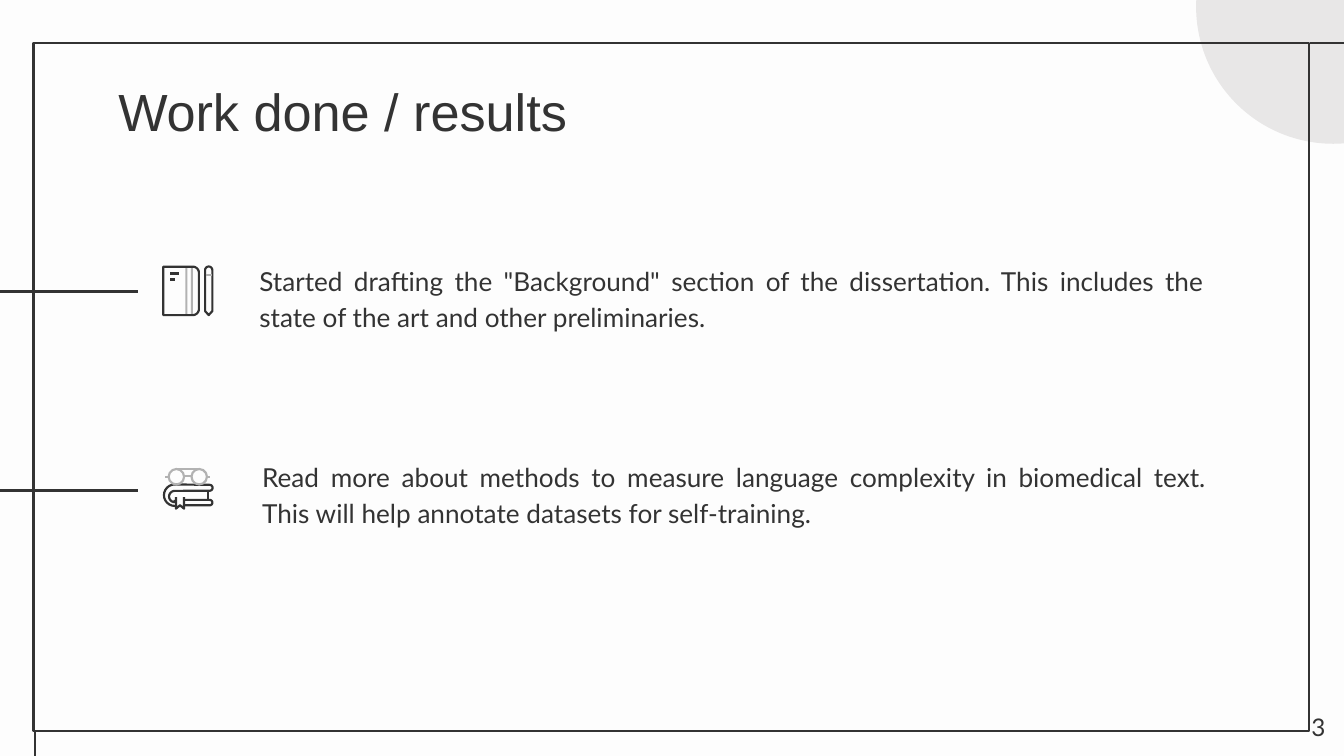
"""Build the "Work done / results" slide on a grid of tenths of an inch."""
import math

from lxml import etree
from pptx import Presentation
from pptx import util as u
from pptx.dml.color import RGBColor
from pptx.enum import shapes, text
from pptx.oxml import ns

COLUMNS, ROWS = 100, 56.25
CELL = u.Inches(0.1)
INK = RGBColor(0x33, 0x33, 0x33)
SOFT = RGBColor(0xB2, 0xB2, 0xB2)
PALE = RGBColor(0xE8, 0xE7, 0xE7)
PAPER = RGBColor(0xFD, 0xFD, 0xFD)
KIND = shapes.MSO_SHAPE
ALIGN = text.PP_ALIGN
ANCHOR = text.MSO_ANCHOR
ICON_LINE = 1.15

TITLE = "Work done / results"
ITEMS = (
    ('Started drafting the "Background" section of the dissertation. '
     "This includes the state of the art and other preliminaries.",
     (18.3, 18.4, 72.3, 9.7)),
    ("Read more about methods to measure language complexity in biomedical text. "
     "This will help annotate datasets for self-training.",
     (18.5, 33, 72.3, 6.8)),
)
RULES = (
    (COLUMNS, 3.2, 97.5, 3.2),
    (2.6, 54.5, 2.6, ROWS),
    (0, 21.7, 10.3, 21.7),
    (0, 36.5, 10.3, 36.5),
)


def grid(*cells):
    """Turn grid cells into whole lengths."""
    return [u.Emu(round(cell * CELL)) for cell in cells]


def paint(shape, fill=None, line=None, width=1.5):
    """Set fill and outline, and drop the shadow."""
    shape.shadow.inherit = False
    if fill is None:
        shape.fill.background()
    else:
        shape.fill.solid()
        shape.fill.fore_color.rgb = fill
    if line is None:
        shape.line.fill.background()
    else:
        shape.line.color.rgb = line
        shape.line.width = u.Pt(width)


def add_preset(page, kind, cells, **style):
    """Add a preset shape over the given cells."""
    shape = page.shapes.add_shape(kind, *grid(*cells))
    paint(shape, **style)
    return shape


def add_outline(page, points, closed=False, **style):
    """Add a freeform through the given points."""
    places = [grid(*point) for point in points]
    builder = page.shapes.build_freeform(*places[0])
    builder.add_line_segments(places[1:], close=closed)
    paint(builder.convert_to_shape(), **style)


def add_rule(page, ends, color=INK, width=1.5):
    """Add a straight line without a shadow."""
    rule = page.shapes.add_connector(shapes.MSO_CONNECTOR.STRAIGHT, *grid(*ends))
    rule.line.color.rgb = color
    rule.line.width = u.Pt(width)
    etree.SubElement(rule.element.spPr, ns.qn("a:effectLst"))


def write(box, words, cells, size=14, font="Lato", align=ALIGN.LEFT,
          spacing=1.0, anchor=ANCHOR.TOP):
    """Place a box and fill it with one unbulleted paragraph."""
    box.left, box.top, box.width, box.height = grid(*cells)
    frame = box.text_frame
    frame.word_wrap = True
    frame.auto_size = text.MSO_AUTO_SIZE.NONE
    frame.vertical_anchor = anchor
    frame.margin_left = frame.margin_right = CELL
    frame.margin_top = frame.margin_bottom = CELL
    para = frame.paragraphs[0]
    para.alignment = align
    para.line_spacing = spacing
    para.space_before = u.Pt(0)
    properties = para._p.get_or_add_pPr()
    properties.set("marL", "0")
    properties.set("indent", "0")
    etree.SubElement(properties, ns.qn("a:buNone"))
    span = para.add_run()
    span.text = words
    span.font.name = font
    span.font.size = u.Pt(size)
    span.font.color.rgb = INK


def arc(x, y, radius, start, end, steps=12):
    """List points along an arc given in degrees."""
    angles = [math.radians(start + (end - start) * step / steps)
              for step in range(steps + 1)]
    return [(x + radius * math.cos(angle), y + radius * math.sin(angle))
            for angle in angles]


def draw_notebook(page):
    """Draw a notebook with a pencil beside it."""
    for left in (13.8, 14.2):
        add_preset(page, KIND.RECTANGLE, (left, 19.8, 0.15, 3.7), fill=SOFT)
    cover = [(12.15, 19.85), *arc(14.35, 20.3, 0.45, -90, 0),
             *arc(14.35, 23, 0.45, 0, 90), (12.15, 23.45)]
    add_outline(page, cover, closed=True, line=INK, width=ICON_LINE)
    pencil = [*arc(15.53, 20.1, 0.27, 180, 360), (15.8, 23.15),
              (15.53, 23.45), (15.26, 23.15)]
    add_outline(page, pencil, closed=True, line=INK, width=ICON_LINE)
    add_rule(page, (15.3, 20.45, 15.76, 20.45), SOFT, ICON_LINE)
    for row, right in ((20.35, 13.3), (20.8, 13.05)):
        add_rule(page, (12.65, row, right, row), width=ICON_LINE)


def draw_books(page):
    """Draw a book with a ribbon under a pair of glasses."""
    cover = [(13, 37.6), *arc(13, 36.85, 0.8, 90, 270),
             *arc(15.6, 36.3, 0.22, -90, 90), *arc(13, 36.95, 0.42, 270, 90),
             (13, 37.2)]
    ribbon = [(13.1, 37), (13.1, 37.85), (13.4, 37.6), (13.7, 37.85), (13.7, 37)]
    lower_edge = [(13.75, 37.2), *arc(15.6, 37.4, 0.2, -90, 90), (13.75, 37.6)]
    page_edge = [(15.5, 36.55), (15.5, 37.2)]
    for points in (cover, ribbon, lower_edge, page_edge):
        add_outline(page, points, line=INK, width=ICON_LINE)
    for left in (12.55, 14.25):
        add_preset(page, KIND.OVAL, (left, 34.9, 1.15, 1.15),
                   line=SOFT, width=ICON_LINE)
    for ends in ((13.1, 34.9, 14.8, 34.9), (13.7, 35.4, 14.25, 35.4),
                 (12.3, 35.5, 12.55, 35.5), (15.4, 35.5, 15.6, 35.5)):
        add_rule(page, ends, SOFT, ICON_LINE)


def main():
    """Assemble and save the slide."""
    deck = Presentation()
    deck.slide_width, deck.slide_height = grid(COLUMNS, ROWS)
    page = deck.slides.add_slide(deck.slide_layouts.get_by_name("Two Content"))
    page.background.fill.solid()
    page.background.fill.fore_color.rgb = PAPER
    title, *bodies = page.placeholders

    add_preset(page, KIND.OVAL, (89, -9.7, 20.4, 20.4), fill=PALE)
    add_preset(page, KIND.RECTANGLE, (2.5, 3.2, 94.9, 51.2), line=INK)
    for ends in RULES:
        add_rule(page, ends)

    write(title, TITLE, (7.8, 4.9, 84.3, 6.3), size=28, font="Arial")
    for body, (words, cells) in zip(bodies, ITEMS):
        write(body, words, cells, align=ALIGN.JUSTIFY, spacing=1.15)
    number_cells = (93.6, 51.9, 6, 4.3)
    write(page.shapes.add_textbox(*grid(*number_cells)), "3", number_cells,
          size=13, align=ALIGN.RIGHT, anchor=ANCHOR.MIDDLE)

    draw_notebook(page)
    draw_books(page)
    deck.save("out.pptx")


if __name__ == "__main__":
    main()
